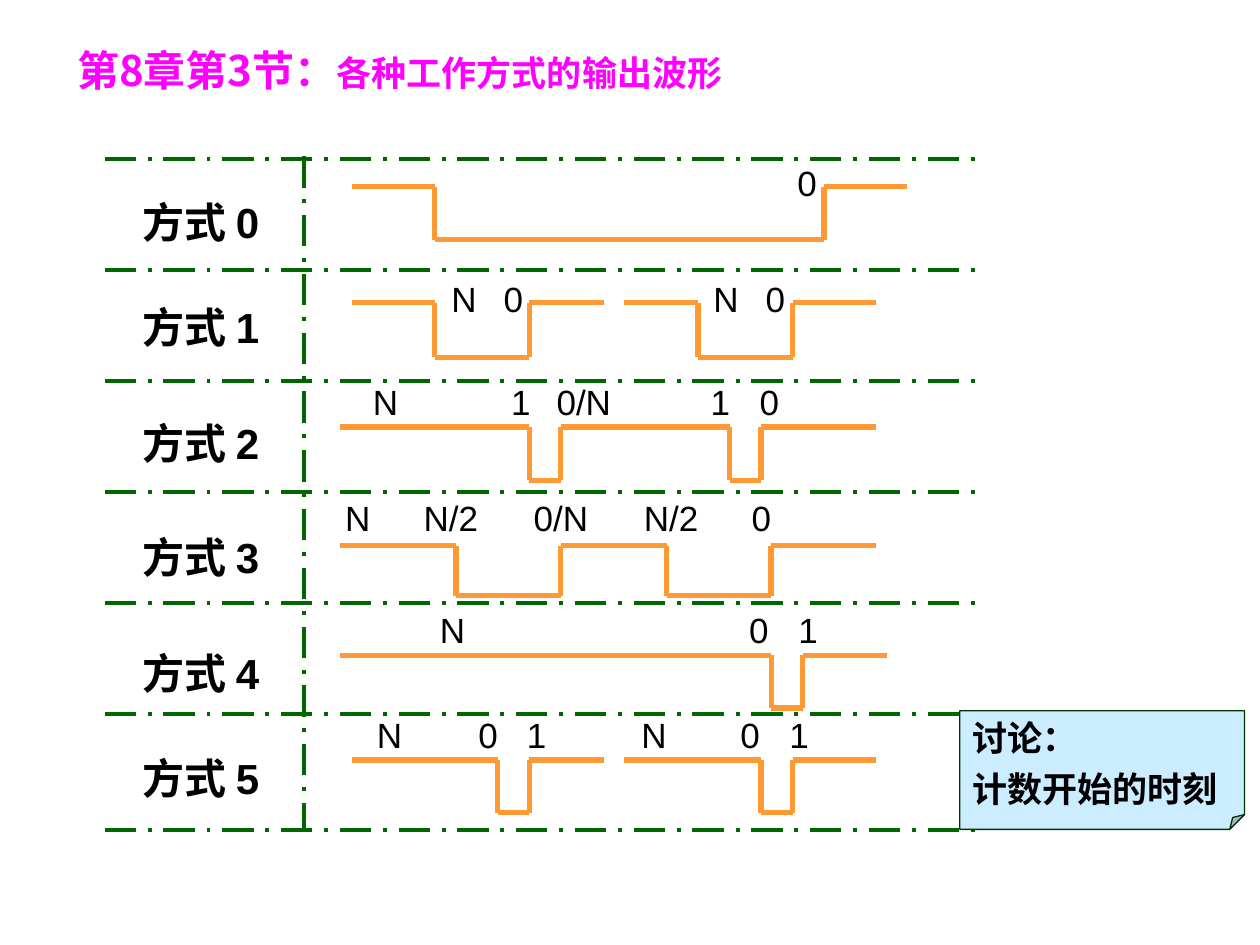
import itertools

import lxml.etree
import pptx
import pptx.dml.color
import pptx.enum.dml
import pptx.enum.shapes
import pptx.enum.text
import pptx.oxml.ns
import pptx.util

Cm = pptx.util.Cm
RGBColor = pptx.dml.color.RGBColor
ALIGN = pptx.enum.text.PP_ALIGN
ANCHOR = pptx.enum.text.MSO_ANCHOR

MAGENTA = RGBColor(0xFF, 0x00, 0xFF)
GREEN = RGBColor(0x00, 0x66, 0x00)
DARK_GREEN = RGBColor(0x00, 0x33, 0x00)
ORANGE = RGBColor(0xFF, 0x99, 0x33)
PALE_BLUE = RGBColor(0xCC, 0xEC, 0xFF)
BLACK = RGBColor(0x00, 0x00, 0x00)

GRID_LEFT, GRID_RIGHT = 2.11, 19.66
GRID_TOP, GRID_BOTTOM, ROW_HEIGHT = 3.2, 16.74, 2.24
DIVIDER = 6.12

MODES = [
    dict(label_y=4.47, mark_y=3.68, high=3.76, low=4.83,
         waves=[(7.09, 8.76, 16.61, 18.29)],
         marks=[("0", 16.27)]),
    dict(label_y=6.58, mark_y=6.02, high=6.1, low=7.2,
         waves=[(7.09, 8.76, 10.67, 12.17), (12.57, 14.07, 15.98, 17.65)],
         marks=[("N", 9.3), ("0", 10.35), ("N", 14.58), ("0", 15.63)]),
    dict(label_y=8.92, mark_y=8.1, high=8.61, low=9.68,
         waves=[(6.86, 10.67, 11.3, 14.71, 15.34, 17.65)],
         marks=[("N", 7.72), ("1", 10.5), ("0/N", 11.77), ("1", 14.52), ("0", 15.51)]),
    dict(label_y=11.23, mark_y=10.44, high=11, low=12.01,
         waves=[(6.86, 9.19, 11.3, 13.44, 15.54, 17.65)],
         marks=[("N", 7.16), ("N/2", 9.09), ("0/N", 11.31), ("N/2", 13.53), ("0", 15.35)]),
    dict(label_y=13.56, mark_y=12.7, high=13.21, low=14.27,
         waves=[(6.86, 15.55, 16.18, 17.88)],
         marks=[("N", 9.07), ("0", 15.3), ("1", 16.29)]),
    dict(label_y=15.67, mark_y=14.81, high=15.32, low=16.38,
         waves=[(7.09, 10.03, 10.67, 12.17), (12.57, 15.34, 15.98, 17.65)],
         marks=[("N", 7.8), ("0", 9.84), ("1", 10.82),
                ("N", 13.13), ("0", 15.12), ("1", 16.11)]),
]


def add_element(parent, tag, **attributes):
    return lxml.etree.SubElement(parent, pptx.oxml.ns.qn(tag), **attributes)


def add_text(para, text, size=20, font="Arial", color=BLACK, bold=False, align=ALIGN.CENTER):
    para.alignment = align
    span = para.add_run()
    span.text = text
    span.font.size = pptx.util.Pt(size)
    span.font.name = font
    span.font.bold = bold
    span.font.color.rgb = color


def add_line(page, x1, y1, x2, y2, color=ORANGE, width=3, dash=None):
    line = page.shapes.add_connector(
        pptx.enum.shapes.MSO_CONNECTOR.STRAIGHT, Cm(x1), Cm(y1), Cm(x2), Cm(y2))
    line.line.color.rgb = color
    line.line.width = pptx.util.Pt(width)
    if dash:
        line.line.dash_style = dash
    add_element(line._element.spPr, "a:effectLst")


def add_label(page, text, center_x, center_y, width, height, **text_format):
    box = page.shapes.add_textbox(
        Cm(center_x - width / 2), Cm(center_y - height / 2), Cm(width), Cm(height))
    frame = box.text_frame
    frame.word_wrap = False
    frame.vertical_anchor = ANCHOR.MIDDLE
    add_text(frame.paragraphs[0], text, **text_format)


def add_title(page):
    title = page.shapes.title
    title.left, title.top, title.width, title.height = Cm(1.3), Cm(0.71), Cm(22.86), Cm(1.4)
    frame = title.text_frame
    frame.auto_size = pptx.enum.text.MSO_AUTO_SIZE.NONE
    frame.vertical_anchor = ANCHOR.MIDDLE
    para = frame.paragraphs[0]
    style = dict(color=MAGENTA, bold=True, align=ALIGN.JUSTIFY)
    add_text(para, "第8章第3节：", size=24, font="Noto Sans CJK JP", **style)
    add_text(para, "各种工作方式的输出波形", **style)


def add_grid(page):
    style = dict(color=GREEN, width=2.25, dash=pptx.enum.dml.MSO_LINE.LONG_DASH_DOT)
    add_line(page, DIVIDER, 3.15, DIVIDER, GRID_BOTTOM, **style)
    rows = [GRID_TOP + index * ROW_HEIGHT for index in range(len(MODES))]
    for y in rows + [GRID_BOTTOM]:
        add_line(page, GRID_LEFT, y, GRID_RIGHT, y, **style)


def add_wave(page, edges, high, low):
    levels = itertools.cycle((high, low))
    for start, end, level in zip(edges, edges[1:], levels):
        add_line(page, start, level, end, level)
    for x in edges[1:-1]:
        add_line(page, x, high, x, low)


def add_mode(page, number, mode):
    add_label(page, f"方式 {number}", 4.05, mode["label_y"], 3.07, 1.27, size=24, bold=True)
    for edges in mode["waves"]:
        add_wave(page, edges, mode["high"], mode["low"])
    for text, x in mode["marks"]:
        add_label(page, text, x, mode["mark_y"], 0.5 + 0.4 * len(text), 1.12)


def add_note(page, lines):
    note = page.shapes.add_shape(
        pptx.enum.shapes.MSO_SHAPE.FOLDED_CORNER, Cm(19.35), Cm(14.33), Cm(5.74), Cm(2.39))
    note.shadow.inherit = False
    guides = note._element.spPr.find(".//" + pptx.oxml.ns.qn("a:avLst"))
    add_element(guides, "a:gd", name="adj", fmla="val 12500")
    note.fill.solid()
    note.fill.fore_color.rgb = PALE_BLUE
    note.line.color.rgb = DARK_GREEN
    note.line.width = pptx.util.Pt(0.75)
    frame = note.text_frame
    frame.word_wrap = True
    frame.vertical_anchor = ANCHOR.MIDDLE
    for index, text in enumerate(lines):
        para = frame.add_paragraph() if index else frame.paragraphs[0]
        if index:
            para.space_before = pptx.util.Pt(5)
        add_text(para, text, font="Times New Roman", bold=True, align=ALIGN.JUSTIFY)


def main():
    deck = pptx.Presentation()
    deck.slide_width, deck.slide_height = Cm(25.4), Cm(19.05)
    page = deck.slides.add_slide(deck.slide_layouts[5])
    add_title(page)
    add_grid(page)
    for number, mode in enumerate(MODES):
        add_mode(page, number, mode)
    add_note(page, ["讨论：", "计数开始的时刻"])
    deck.save("out.pptx")


if __name__ == "__main__":
    main()
